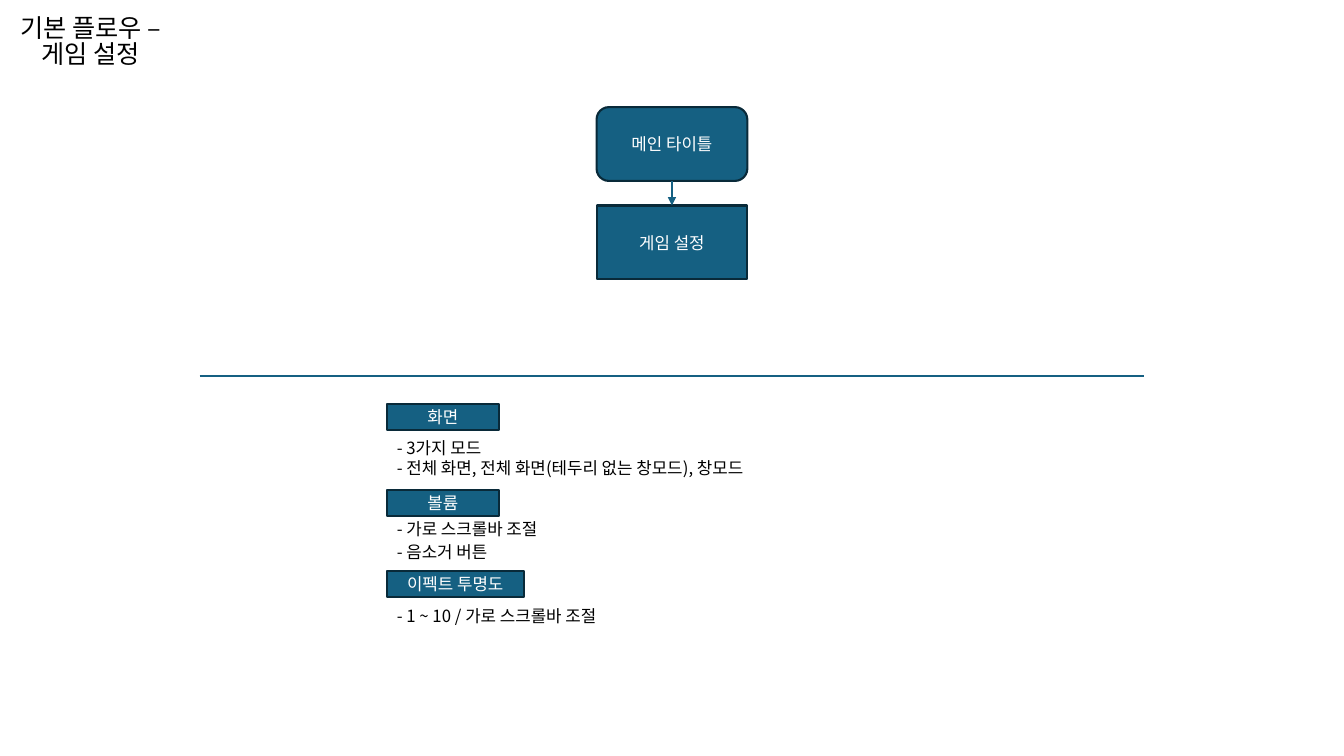
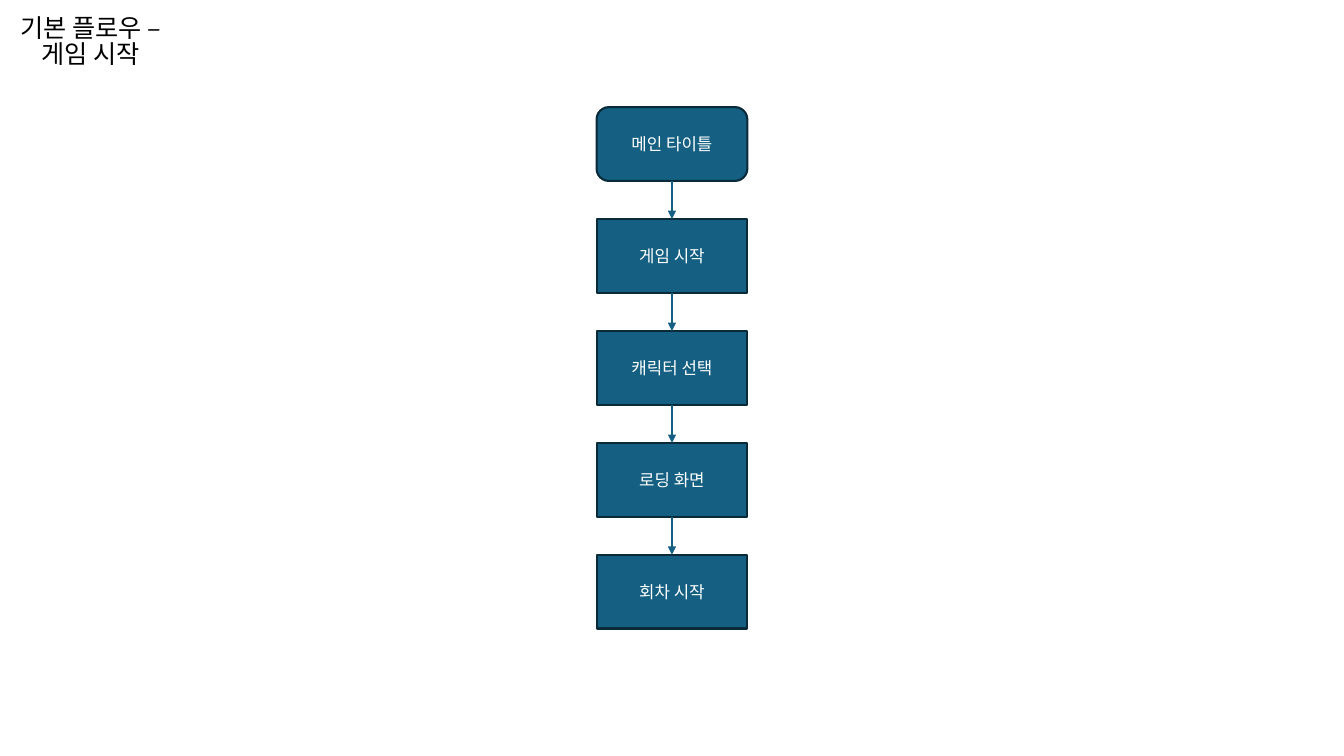
import pptx
import pptx.util
import pptx.dml.color
import pptx.enum.shapes
import pptx.enum.text
import pptx.oxml
import pptx.oxml.ns

Cm = pptx.util.Cm
Pt = pptx.util.Pt
SHAPE = pptx.enum.shapes.MSO_SHAPE
ALIGN = pptx.enum.text.PP_ALIGN

FONT = "Noto Sans CJK KR"
COLORS = {"fill": "156082", "outline": "092A39", "text": "000000", "light": "FFFFFF"}

FLOWS = [
    {"title": "기본 플로우 –게임 설정", "steps": ["메인 타이틀", "게임 설정"], "pitch": 2.48},
    {"title": "기본 플로우 –게임 시작",
     "steps": ["메인 타이틀", "게임 시작", "캐릭터 선택", "로딩 화면", "회차 시작"],
     "pitch": 2.82},
]
SETTINGS = [
    {"label": "화면", "top": 10.18, "width": 2.82,
     "notes": [("- 3가지 모드", 10.8),
               ("- 전체 화면, 전체 화면(테두리 없는 창모드), 창모드", 11.3)]},
    {"label": "볼륨", "top": 12.34, "width": 2.82,
     "notes": [("- 가로 스크롤바 조절", 12.83), ("- 음소거 버튼", 13.41)]},
    {"label": "이펙트 투명도", "top": 14.38, "width": 3.45,
     "notes": [("- 1 ~ 10 / 가로 스크롤바 조절", 15.04)]},
]

PAGE_WIDTH, PAGE_HEIGHT = 33.87, 19.05
STEP_WIDTH, STEP_HEIGHT, FIRST_STEP_TOP = 3.8, 1.86, 2.7
DIVIDER_MARGIN, DIVIDER_TOP = 5.03, 9.47
SETTINGS_LEFT, LABEL_HEIGHT = 9.75, 0.66
NOTE_WIDTH, NOTE_HEIGHT = 10.52, 0.97


def color(name):
    return pptx.dml.color.RGBColor.from_string(COLORS[name])


def write(box, text, size, color_name, align):
    frame = box.text_frame
    frame.text = text
    frame.word_wrap = True
    frame.auto_size = pptx.enum.text.MSO_AUTO_SIZE.NONE
    frame.vertical_anchor = pptx.enum.text.MSO_ANCHOR.MIDDLE
    para = frame.paragraphs[0]
    para.alignment = align
    for span in para.runs:
        span.font.size = Pt(size)
        span.font.name = FONT
        span.font.color.rgb = color(color_name)
        east_asian = pptx.oxml.parse_xml(
            f'<a:ea {pptx.oxml.ns.nsdecls("a")} typeface="{FONT}"/>')
        span.font._element.find(pptx.oxml.ns.qn("a:latin")).addnext(east_asian)
    return para


def add_block(page, kind, text, left, top, width, height):
    box = page.shapes.add_shape(kind, Cm(left), Cm(top), Cm(width), Cm(height))
    box.shadow.inherit = False
    box.fill.solid()
    box.fill.fore_color.rgb = color("fill")
    box.line.color.rgb = color("outline")
    box.line.width = Pt(1.5)
    write(box, text, 12, "light", ALIGN.CENTER)
    return box


def add_line(page, left, top, right, bottom):
    line = page.shapes.add_connector(
        pptx.enum.shapes.MSO_CONNECTOR.STRAIGHT, left, top, right, bottom)
    line.line.color.rgb = color("fill")
    line.line.width = Pt(1.5)
    line._element.spPr.append(
        pptx.oxml.parse_xml(f'<a:effectLst {pptx.oxml.ns.nsdecls("a")}/>'))
    return line


def add_arrow(page, upper, lower):
    arrow = add_line(page, 0, 0, 0, 0)
    arrow.begin_connect(upper, 2)
    arrow.end_connect(lower, 0)
    arrow.line._get_or_add_ln().append(pptx.oxml.parse_xml(
        f'<a:tailEnd {pptx.oxml.ns.nsdecls("a")} type="triangle"/>'))


def add_flow_page(deck, flow):
    page = deck.slides.add_slide(deck.slide_layouts[5])
    title = page.shapes.title
    title.left, title.top, title.width, title.height = Cm(0), Cm(-0.05), Cm(4.57), Cm(2.24)
    write(title, flow["title"], 18, "text", ALIGN.CENTER).line_spacing = 0.85
    previous = None
    for index, text in enumerate(flow["steps"]):
        kind = SHAPE.RECTANGLE if index else SHAPE.ROUNDED_RECTANGLE
        step = add_block(page, kind, text, (PAGE_WIDTH - STEP_WIDTH) / 2,
                         FIRST_STEP_TOP + index * flow["pitch"], STEP_WIDTH, STEP_HEIGHT)
        if previous is not None:
            add_arrow(page, previous, step)
        previous = step
    return page


def add_settings(page):
    add_line(page, Cm(DIVIDER_MARGIN), Cm(DIVIDER_TOP),
             Cm(PAGE_WIDTH - DIVIDER_MARGIN), Cm(DIVIDER_TOP))
    for setting in SETTINGS:
        add_block(page, SHAPE.RECTANGLE, setting["label"], SETTINGS_LEFT,
                  setting["top"], setting["width"], LABEL_HEIGHT)
        for text, top in setting["notes"]:
            note = page.shapes.add_textbox(
                Cm(SETTINGS_LEFT), Cm(top), Cm(NOTE_WIDTH), Cm(NOTE_HEIGHT))
            write(note, text, 12, "text", ALIGN.LEFT)


def main():
    deck = pptx.Presentation()
    deck.slide_width, deck.slide_height = Cm(PAGE_WIDTH), Cm(PAGE_HEIGHT)
    pages = [add_flow_page(deck, flow) for flow in FLOWS]
    add_settings(pages[0])
    deck.save("out.pptx")


if __name__ == "__main__":
    main()
